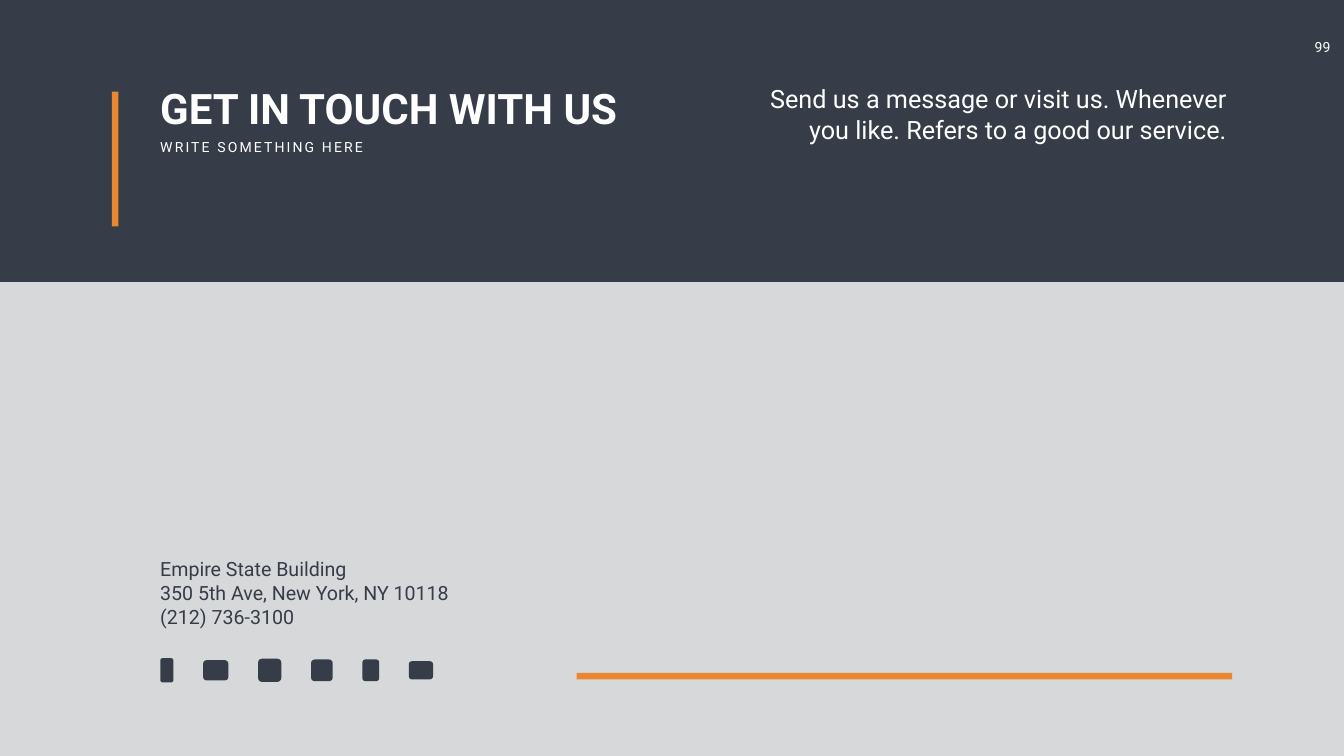
from lxml import etree
from pptx import Presentation
from pptx.dml.color import RGBColor
from pptx.enum.shapes import MSO_SHAPE as Preset
from pptx.enum.text import MSO_AUTO_SIZE as AutoSize, PP_ALIGN as Align
from pptx.oxml.ns import qn
from pptx.util import Inches, Pt

DARK, WHITE, ORANGE = "363D48", "FFFFFF", "EA8831"
COLUMNS, ROWS = 26.66, 15  # grid of one-inch cells

presentation = Presentation()
presentation.slide_width = Inches(COLUMNS)
presentation.slide_height = Inches(ROWS)
slide = presentation.slides.add_slide(presentation.slide_layouts[6])
slide.background.fill.solid()
slide.background.fill.fore_color.rgb = RGBColor.from_string(DARK)


def add_block(left, top, width, height, color, preset=Preset.RECTANGLE):
    """Add a filled shape without outline or shadow, placed in grid cells."""
    shape = slide.shapes.add_shape(
        preset, Inches(left), Inches(top), Inches(width), Inches(height))
    shape.shadow.inherit = False
    shape.fill.solid()
    shape.fill.fore_color.rgb = RGBColor.from_string(color)
    shape.line.fill.background()
    return shape


def add_text(left, top, width, height, lines, size, color=WHITE,
             align=Align.LEFT, wrap=False, bold=False, spacing=0):
    """Add a text box with one paragraph per line; spacing is in points."""
    box = slide.shapes.add_textbox(
        Inches(left), Inches(top), Inches(width), Inches(height))
    frame = box.text_frame
    frame.word_wrap = wrap
    frame.auto_size = AutoSize.SHAPE_TO_FIT_TEXT
    for index, line in enumerate(lines):
        paragraph = frame.add_paragraph() if index else frame.paragraphs[0]
        paragraph.alignment = align
        run = paragraph.add_run()
        run.text = line
        run.font.name = "Roboto"
        run.font.size = Pt(size)
        run.font.bold = bold
        run.font.color.rgb = RGBColor.from_string(color)
        if spacing:
            run.font._element.set("spc", str(spacing * 100))


# Page number and translucent lower panel
add_text(25.78, 0.72, 0.91, 0.44, ["99"], 20, align=Align.CENTER)
panel_top = 5.6
panel = add_block(0, panel_top, COLUMNS, ROWS - panel_top, WHITE)
panel_color = panel.fill._xPr.find(f".//{qn('a:srgbClr')}")
etree.SubElement(panel_color, qn("a:alpha"), val="80000")

# Heading
text_left = 3.08
add_text(text_left, 1.59, 10.39, 1.11, ["GET IN TOUCH WITH US"], 60,
         wrap=True, bold=True)
add_text(text_left, 2.7, 4.35, 0.44, ["WRITE SOMETHING HERE"], 20, spacing=3)
add_text(14.96, 1.61, 9.47, 1.31,
         ["Send us a message or visit us. Whenever you like. "
          "Refers to a good our service."],
         36, align=Align.RIGHT, wrap=True)

# Accent bars
bar_thickness = 0.13
add_block(2.22, 1.82, bar_thickness, 2.67, ORANGE)
add_block(11.44, 13.35, 13, bar_thickness, ORANGE)

# Address
add_text(text_left, 11.01, 5.97, 1.51,
         ["Empire State Building",
          "350 5th Ave, New York, NY 10118",
          "(212) 736-3100"], 28, color=DARK)

# Row of plain contact markers, equal gaps, centred on one line
marker_sizes = [(0.26, 0.48), (0.5, 0.4), (0.46, 0.46),
                (0.43, 0.43), (0.33, 0.43), (0.48, 0.36)]
marker_left, marker_middle, marker_gap = 3.18, 13.3, 0.59
for width, height in marker_sizes:
    add_block(marker_left, marker_middle - height / 2, width, height, DARK,
              Preset.ROUNDED_RECTANGLE)
    marker_left += width + marker_gap

presentation.save("out.pptx")
